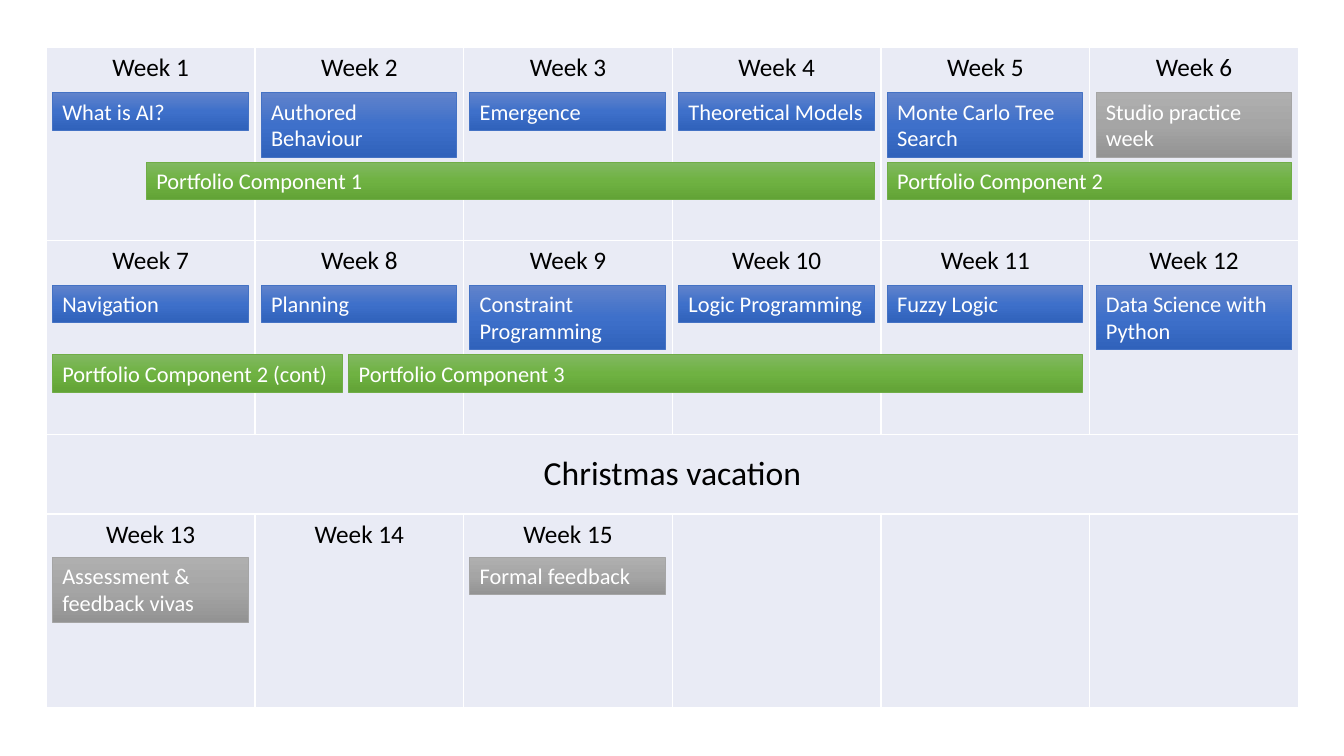
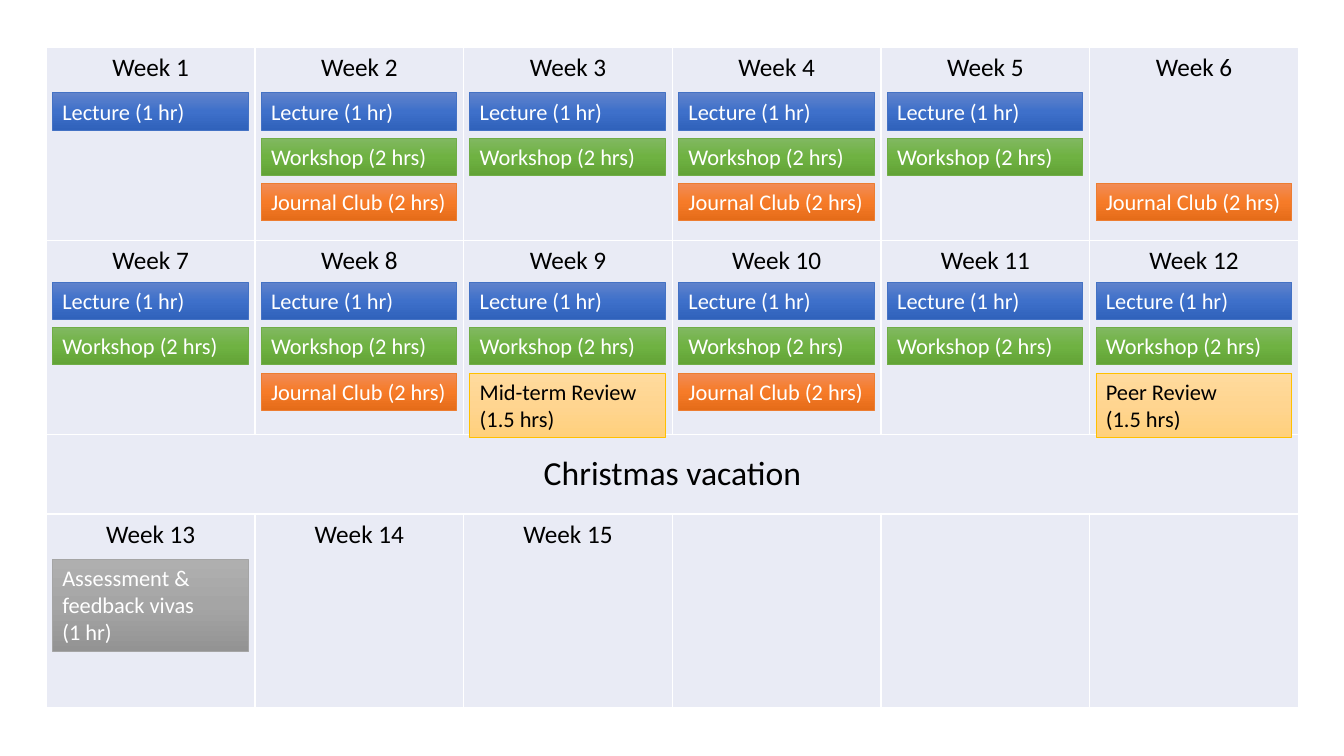
from copy import deepcopy

from lxml.etree import SubElement
from pptx import Presentation
from pptx.dml.color import RGBColor as RGB
from pptx.enum.shapes import MSO_SHAPE as SHAPE
from pptx.enum.text import MSO_ANCHOR as ANCHOR, MSO_AUTO_SIZE as AUTO, PP_ALIGN as ALIGN
from pptx.oxml.ns import qn
from pptx.util import Inches, Pt

# Colours and font
FONT = "Calibri"
WHITE, BLACK = RGB(255, 255, 255), RGB(0, 0, 0)
CELL = RGB(0xE9, 0xEB, 0xF5)

# Bar styles: three gradient colours from top to bottom, outline, text
BLUE = ("6183CB", "3E70CA", "3062BB"), "4472C4", WHITE
GREEN = ("81B861", "6FB242", "62A336"), "70AD47", WHITE
ORANGE = ("F18C57", "F67B28", "E56C19"), "ED7D31", WHITE
GREY = ("AFAFAF", "A5A5A5", "939393"), "A5A5A5", WHITE
YELLOW = ("FFDB9E", "FFD590", "FFD07C"), "FFC000", BLACK

# Calendar rows: first week, last week, height; no weeks means the vacation
CALENDAR = [(1, 6, 1.92), (7, 12, 1.92), (None, None, 0.79), (13, 15, 1.92)]
VACATION = "Christmas vacation"

# Bars: style, start week, length in weeks, slot below the heading, lines, text
TOPICS = [
    (BLUE, 1, 1, 0, 1, "What is AI?"),
    (BLUE, 2, 1, 0, 2, "Authored Behaviour"),
    (BLUE, 3, 1, 0, 1, "Emergence"),
    (BLUE, 4, 1, 0, 1, "Theoretical Models"),
    (BLUE, 5, 1, 0, 2, "Monte Carlo Tree Search"),
    (GREY, 6, 1, 0, 2, "Studio practice week"),
    (BLUE, 7, 1, 0, 1, "Navigation"),
    (BLUE, 8, 1, 0, 1, "Planning"),
    (BLUE, 9, 1, 0, 2, "Constraint Programming"),
    (BLUE, 10, 1, 0, 1, "Logic Programming"),
    (BLUE, 11, 1, 0, 1, "Fuzzy Logic"),
    (BLUE, 12, 1, 0, 2, "Data Science with Python"),
    (GREY, 13, 1, 0, 2, "Assessment & feedback vivas"),
    (GREY, 15, 1, 0, 1, "Formal feedback"),
    (GREEN, 1.45, 3.55, 1, 1, "Portfolio Component 1"),
    (GREEN, 5, 2, 1, 1, "Portfolio Component 2"),
    (GREEN, 7, 1.45, 1, 1, "Portfolio Component 2 (cont)"),
    (GREEN, 8.42, 3.58, 1, 1, "Portfolio Component 3"),
]

# Weekly sessions: style, slot, text, weeks
SESSIONS = [
    (BLUE, 0, "Lecture (1 hr)", [1, 2, 3, 4, 5, 7, 8, 9, 10, 11, 12]),
    (GREEN, 1, "Workshop (2 hrs)", [2, 3, 4, 5, 7, 8, 9, 10, 11, 12]),
    (ORANGE, 2, "Journal Club (2 hrs)", [2, 4, 6, 8, 10]),
]
REVIEWS = [
    (YELLOW, 9, 1, 2, 2, "Mid-term Review (1.5 hrs)"),
    (YELLOW, 12, 1, 2, 2, "Peer Review\n(1.5 hrs)"),
    (GREY, 13, 1, 0, 3, "Assessment & feedback vivas\n(1 hr)"),
]
TEACHING = [(style, week, 1, slot, 1, text)
            for style, slot, text, weeks in SESSIONS for week in weeks] + REVIEWS

# Slides: bars, top of the first slot in each row of weeks, distance between slots
SLIDES = [
    (TOPICS, (0.92, 2.83, 5.53), 0.69),
    (TEACHING, (0.92, 2.8, 5.55), 0.45),
]

# Grid, in inches
COLS, COL_W = 6, 2.07
LEFT, TOP = 0.46, 0.47
INSET, GAP = 0.06, 0.13
LINE_H, PADDING = 0.27, 0.1


def style_text(tf, size, color, align):
    for p in tf.paragraphs:
        p.alignment = align
        for r in p.runs:
            r.font.name, r.font.size, r.font.color.rgb = FONT, Pt(size), color


def style_cell(cell):
    cell.fill.solid()
    cell.fill.fore_color.rgb = CELL
    tcPr = cell._tc.get_or_add_tcPr()
    for i, side in enumerate(("lnL", "lnR", "lnT", "lnB")):
        ln = tcPr.makeelement(qn("a:" + side), {"w": str(Pt(1))})
        SubElement(SubElement(ln, qn("a:solidFill")), qn("a:srgbClr"), val=str(WHITE))
        tcPr.insert(i, ln)


def add_calendar(slide):
    height = sum(h for _, _, h in CALENDAR)
    table = slide.shapes.add_table(len(CALENDAR), COLS, Inches(LEFT), Inches(TOP),
                                   Inches(COLS * COL_W), Inches(height)).table
    table.first_row = table.horz_banding = False
    for col in table.columns:
        col.width = Inches(COL_W)
    for cell in table.iter_cells():
        style_cell(cell)
    for i, (first, last, h) in enumerate(CALENDAR):
        table.rows[i].height = Inches(h)
        if first is None:
            cell = table.cell(i, 0)
            cell.merge(table.cell(i, COLS - 1))
            cell.text_frame.text = VACATION
            cell.vertical_anchor = ANCHOR.MIDDLE
            style_text(cell.text_frame, 24, BLACK, ALIGN.CENTER)
            continue
        for week in range(first, last + 1):
            tf = table.cell(i, week - first).text_frame
            tf.text = f"Week {week}"
            style_text(tf, 18, BLACK, ALIGN.CENTER)


def fill_gradient(sp, colors):
    sp.fill.gradient()
    sp.fill.gradient_angle = 270  # counter-clockwise: runs from top to bottom
    stop_list = sp._element.spPr.find(qn("a:gradFill")).find(qn("a:gsLst"))
    stop_list.append(deepcopy(stop_list[-1]))
    for i, (stop, color) in enumerate(zip(sp.fill.gradient_stops, colors)):
        stop.position = i / 2
        stop.color.rgb = RGB.from_string(color)


def add_bar(slide, bar, row_tops, pitch):
    (colors, outline, text_color), start, length, slot, lines, text = bar
    row, col = divmod(start - 1, COLS)
    sp = slide.shapes.add_shape(
        SHAPE.RECTANGLE,
        Inches(LEFT + INSET + col * COL_W), Inches(row_tops[int(row)] + slot * pitch),
        Inches(length * COL_W - GAP), Inches(PADDING + lines * LINE_H))
    sp.shadow.inherit = False
    fill_gradient(sp, colors)
    sp.line.color.rgb = RGB.from_string(outline)
    sp.line.width = Pt(0.5)
    tf = sp.text_frame
    tf.word_wrap, tf.auto_size = True, AUTO.SHAPE_TO_FIT_TEXT
    tf.vertical_anchor = ANCHOR.TOP
    tf.text = text
    style_text(tf, 16, text_color, ALIGN.LEFT)


# Build the slides
prs = Presentation()
prs.slide_width, prs.slide_height = Inches(13.33), Inches(7.5)
for bars, row_tops, pitch in SLIDES:
    slide = prs.slides.add_slide(prs.slide_layouts[6])
    add_calendar(slide)
    for bar in bars:
        add_bar(slide, bar, row_tops, pitch)
prs.save("out.pptx")
